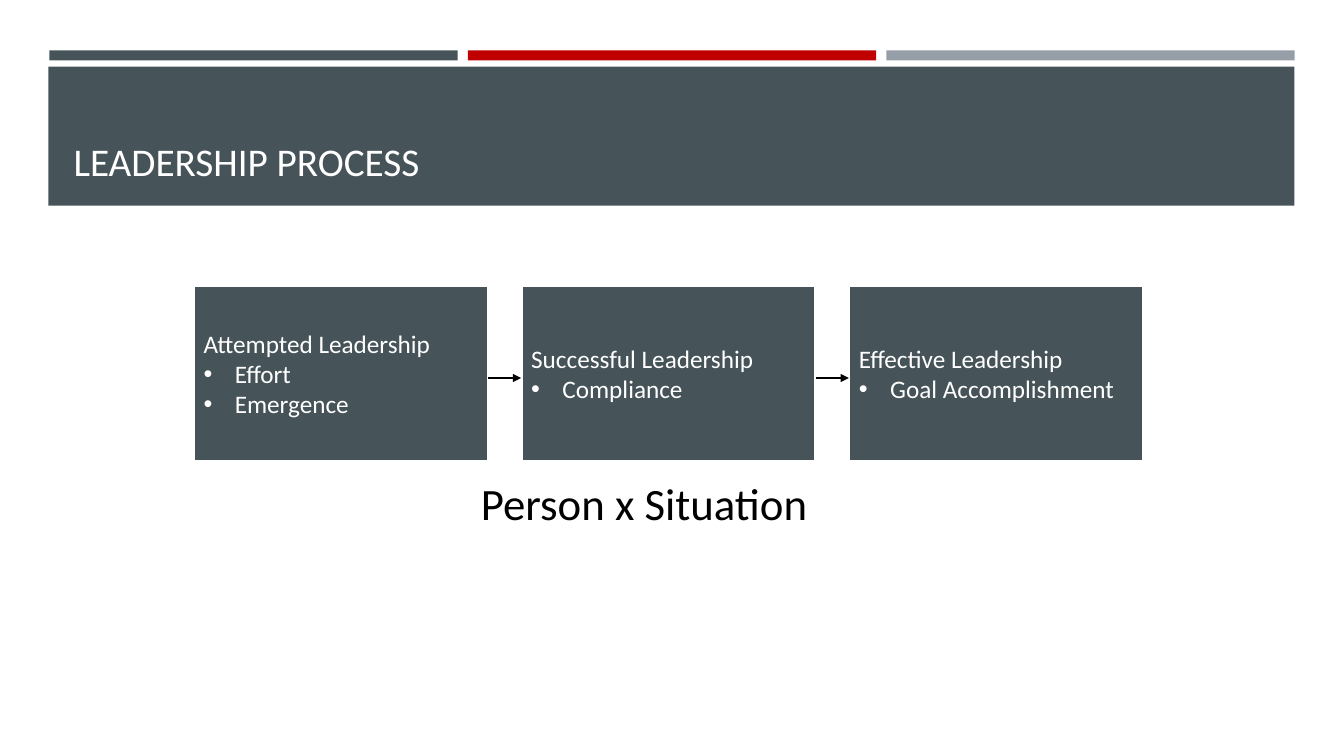
import pptx
import pptx.util
import pptx.dml.color
import pptx.enum.shapes
import pptx.enum.text
import pptx.oxml.ns
import lxml.etree

Inches = pptx.util.Inches
Pt = pptx.util.Pt
COLORS = {"slate": "465359", "red": "C00000", "gray": "969FA7",
          "white": "FFFFFF", "black": "000000"}


def color(name):
    return pptx.dml.color.RGBColor.from_string(COLORS[name])


def add_child(parent, tag, **attributes):
    return lxml.etree.SubElement(parent, pptx.oxml.ns.qn(tag), attributes)


def write_text(frame, lines, *, size, ink, font, anchor, bullets=False):
    """Write one paragraph per line; with bullets, every line after the first has one."""
    frame.word_wrap = True
    frame.auto_size = pptx.enum.text.MSO_AUTO_SIZE.NONE
    frame.vertical_anchor = anchor
    for index, line in enumerate(lines):
        para = frame.add_paragraph() if index else frame.paragraphs[0]
        para.alignment = pptx.enum.text.PP_ALIGN.LEFT
        span = para.add_run()
        span.text = line
        span.font.size = Pt(size)
        span.font.name = font
        span.font.color.rgb = color(ink)
        if bullets and index:
            properties = para._p.get_or_add_pPr()
            indent = Inches(0.31)
            properties.set("marL", str(indent))
            properties.set("indent", str(-indent))
            add_child(properties, "a:buFont", typeface="Arial")
            add_child(properties, "a:buChar", char="•")


class SlideBuilder:
    font = "Calibri"

    def __init__(self, deck):
        self.page = deck.slides.add_slide(deck.slide_layouts[5])

    def rectangle(self, left, top, width, height, fill, line=None):
        box = self.page.shapes.add_shape(
            pptx.enum.shapes.MSO_SHAPE.RECTANGLE,
            Inches(left), Inches(top), Inches(width), Inches(height))
        box.shadow.inherit = False
        box.fill.solid()
        box.fill.fore_color.rgb = color(fill)
        if line:
            box.line.color.rgb = color(line)
            box.line.width = Pt(2)
        else:
            box.line.fill.background()
        return box

    def title(self, text, left, top, width, height):
        title = self.page.shapes.title
        title.left, title.top = Inches(left), Inches(top)
        title.width, title.height = Inches(width), Inches(height)
        write_text(title.text_frame, [text], size=28, ink="white", font=self.font,
                   anchor=pptx.enum.text.MSO_ANCHOR.BOTTOM)
        # Bring the title in front of the banner
        self.page.shapes._spTree.append(title._element)

    def stage(self, lines, left, top, width, height):
        box = self.rectangle(left, top, width, height, "slate", line="white")
        write_text(box.text_frame, lines, size=18, ink="white", font=self.font,
                   anchor=pptx.enum.text.MSO_ANCHOR.MIDDLE, bullets=True)

    def arrow(self, start, end, height):
        arrow = self.page.shapes.add_connector(
            pptx.enum.shapes.MSO_CONNECTOR.STRAIGHT,
            Inches(start), Inches(height), Inches(end), Inches(height))
        arrow.line.color.rgb = color("black")
        arrow.line.width = Pt(0.75)
        add_child(arrow.line._get_or_add_ln(), "a:tailEnd", type="triangle")
        add_child(arrow._element.spPr, "a:effectLst")

    def caption(self, text, left, top, width, height):
        box = self.page.shapes.add_textbox(
            Inches(left), Inches(top), Inches(width), Inches(height))
        write_text(box.text_frame, [text], size=32, ink="black", font=self.font,
                   anchor=pptx.enum.text.MSO_ANCHOR.TOP)


def main():
    deck = pptx.Presentation()
    deck.slide_width, deck.slide_height = Inches(13.33), Inches(7.5)
    slide = SlideBuilder(deck)

    # Top stripes and title banner
    for index, fill in enumerate(["slate", "red", "gray"]):
        slide.rectangle(0.49 + index * 4.15, 0.5, 4.05, 0.1, fill)
    slide.rectangle(0.48, 0.66, 12.36, 1.38, "slate")
    slide.title("LEADERSHIP PROCESS", 0.63, 0.8, 12.06, 1.08)

    # Process stages, joined by arrows
    stages = [
        ["Attempted Leadership", "Effort", "Emergence"],
        ["Successful Leadership", "Compliance"],
        ["Effective Leadership", "Goal Accomplishment"],
    ]
    first_left, step, width = 1.92, 3.25, 2.92
    for index, lines in enumerate(stages):
        slide.stage(lines, first_left + index * step, 2.83, width, 1.75)
    for index in range(len(stages) - 1):
        left = first_left + index * step
        slide.arrow(left + width, left + step, 3.75)

    # Caption under the stages
    slide.caption("Person x Situation", 4.67, 4.67, 3.52, 0.64)

    deck.save("out.pptx")


if __name__ == "__main__":
    main()
